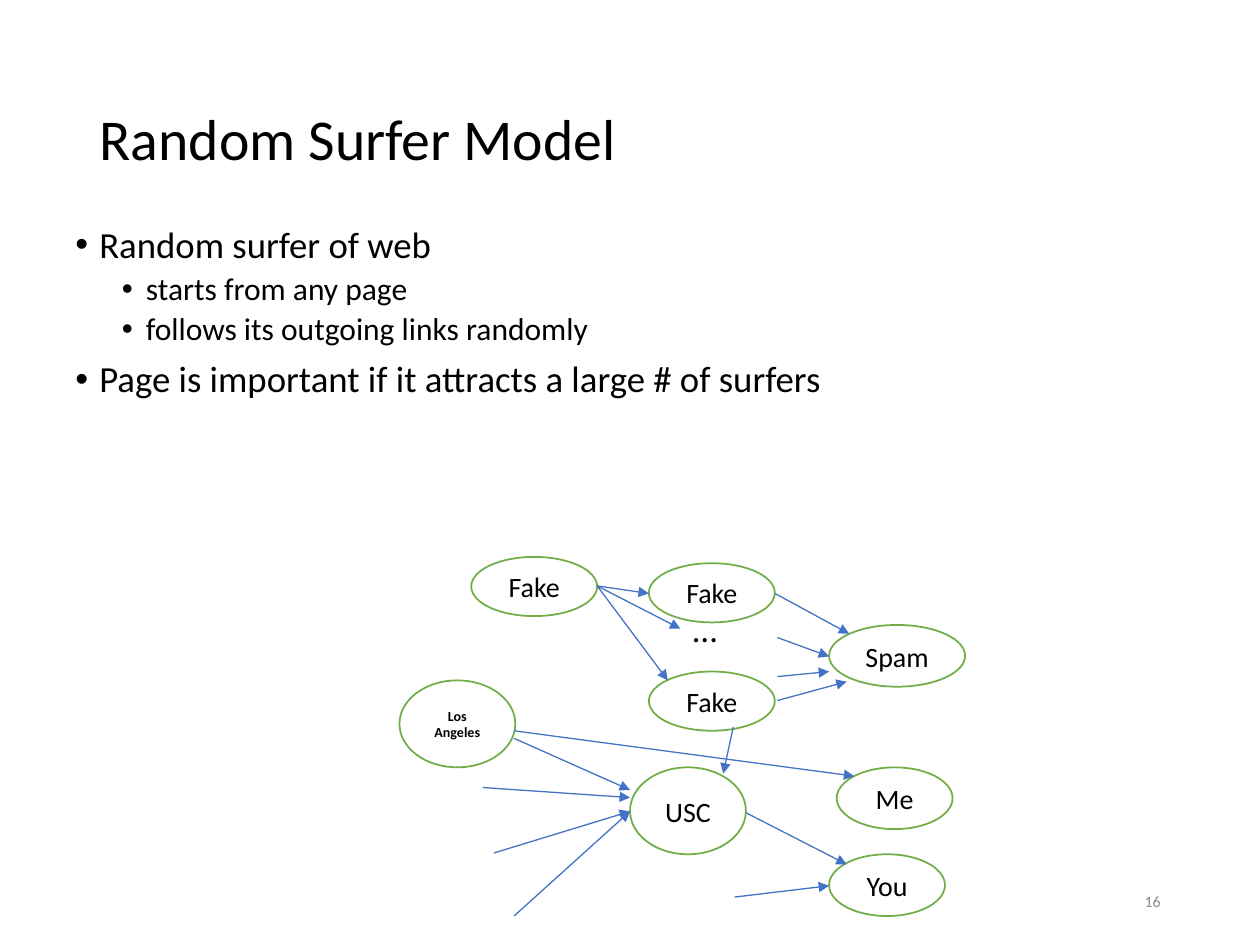
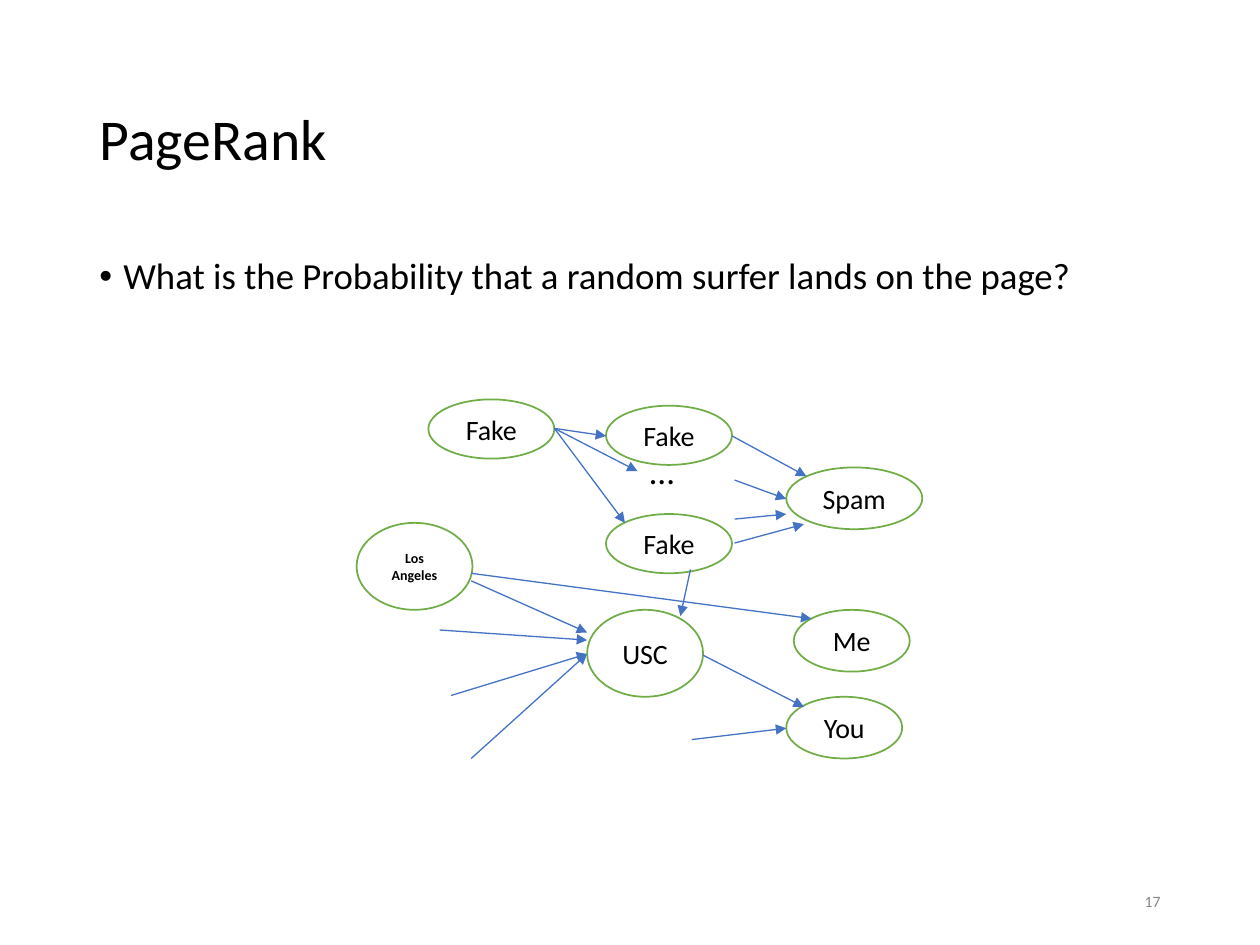
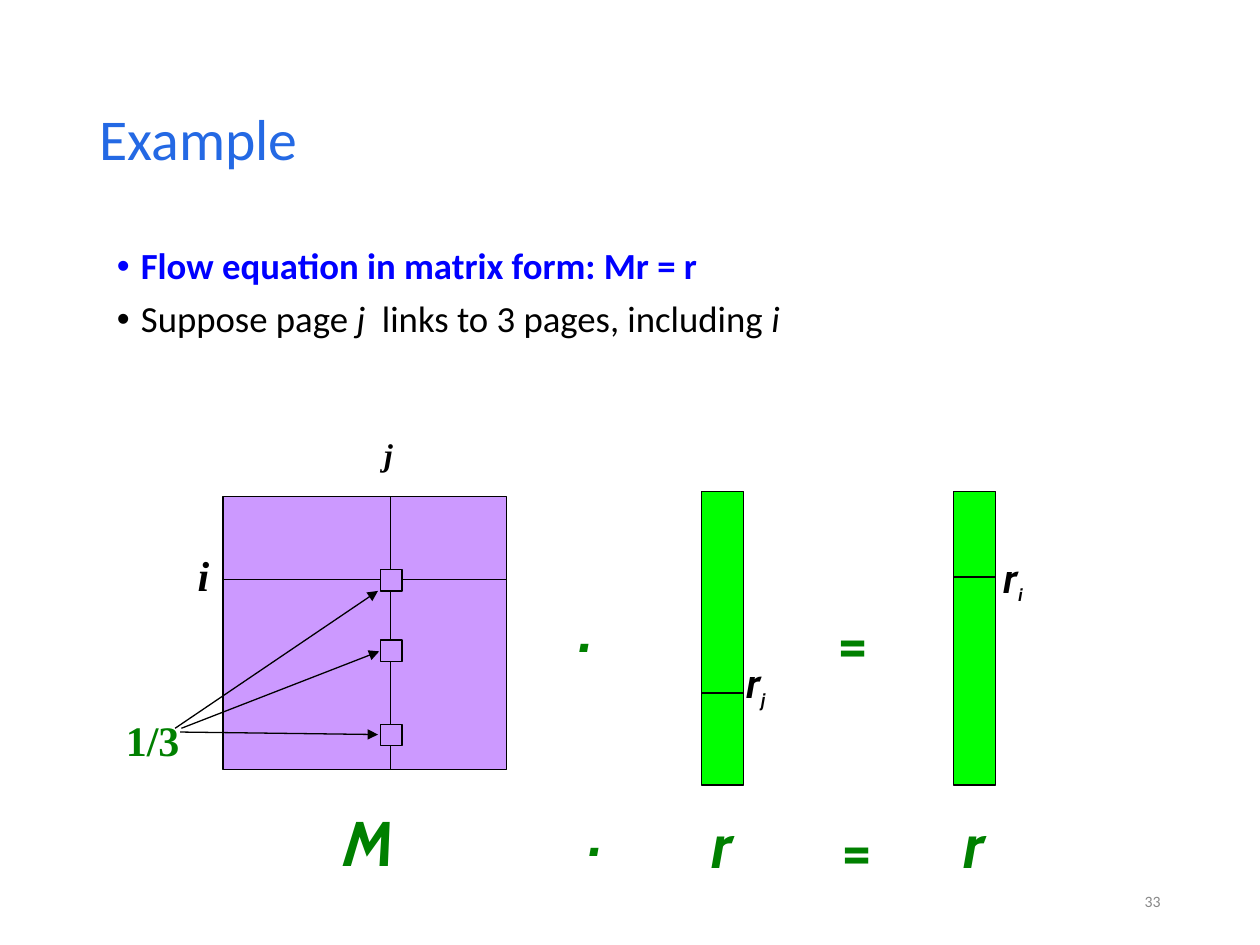
from dataclasses import dataclass

from lxml import etree
from pptx import Presentation
from pptx import util as u
from pptx.dml.color import RGBColor
from pptx.enum import shapes, text
from pptx.oxml import ns

PX = 9144
BLACK = RGBColor(0x00, 0x00, 0x00)
WHITE = RGBColor(0xFF, 0xFF, 0xFF)
GRAY = RGBColor(0x88, 0x88, 0x88)
TITLE_BLUE = RGBColor(0x24, 0x69, 0xE4)
STRONG_BLUE = RGBColor(0x00, 0x00, 0xFF)
LINK_BLUE = RGBColor(0x44, 0x72, 0xC4)
NODE_GREEN = RGBColor(0x70, 0xAD, 0x47)
SYMBOL_GREEN = RGBColor(0x00, 0x80, 0x00)
VECTOR_GREEN = RGBColor(0x00, 0xFF, 0x00)
MATRIX_PURPLE = RGBColor(0xCC, 0x99, 0xFF)
SANS, SERIF, SYMBOL = "Calibri", "Times New Roman", "Cabin"

TITLE_BOX = (69, 40, 862, 145)
NUMBER_BOX = (706, 695, 225, 40)
LEVELS = ((21, 19, 7.5), (18, 56, 3.8))

NODES = (
    ("You", 341, 236, 92, 49),
    ("USC", 183, 167, 92, 69),
    ("Los Angeles", 0, 98, 92, 69),
    ("Spam", 341, 54, 108, 49),
    ("Fake", 198, 5, 100, 47),
    ("Fake", 198, 91, 100, 47),
    ("Me", 347, 167, 92, 49),
    ("Fake", 57, 0, 100, 47),
)
LINKS = (
    (275, 203, 355, 244), (266, 270, 341, 261), (66, 183, 183, 191),
    (75, 235, 183, 202), (91, 285, 183, 202), (91, 144, 183, 185),
    (298, 29, 357, 61), (300, 64, 341, 79), (300, 114, 355, 99),
    (300, 95, 341, 91), (91, 138, 361, 174), (157, 23, 198, 29),
    (157, 23, 213, 98), (157, 23, 223, 57), (265, 135, 257, 172),
)


@dataclass
class Style:
    size: float
    color: RGBColor = BLACK
    font: str = SANS
    bold: bool = False
    italic: bool = False


@dataclass
class Bullet:
    runs: tuple
    level: int = 0
    color: RGBColor = BLACK
    bold: bool = False


def emu(*lengths):
    return [round(length * PX) for length in lengths]


def style_run(run, style):
    run.font.size = u.Pt(style.size)
    run.font.name = style.font
    run.font.bold = style.bold
    run.font.italic = style.italic
    run.font.color.rgb = style.color


def write(frame, words, style, align=text.PP_ALIGN.LEFT, anchor=text.MSO_ANCHOR.TOP):
    frame.text = words
    frame.word_wrap = True
    frame.vertical_anchor = anchor
    paragraph = frame.paragraphs[0]
    paragraph.alignment = align
    style_run(paragraph.runs[0], style)
    return paragraph


def label(parts, words, box, style, **placing):
    return write(parts.add_textbox(*emu(*box)).text_frame, words, style, **placing)


def outlined(parts, kind, box, fill, line, width=0.75):
    outline = parts.add_shape(kind, *emu(*box))
    outline.shadow.inherit = False
    outline.fill.solid()
    outline.fill.fore_color.rgb = fill
    outline.line.color.rgb = line
    outline.line.width = u.Pt(width)
    return outline


def stroke(parts, left, top, ends, color=BLACK, arrow=False):
    x1, y1, x2, y2 = ends
    line = parts.add_connector(
        shapes.MSO_CONNECTOR.STRAIGHT, *emu(left + x1, top + y1, left + x2, top + y2))
    line.line.color.rgb = color
    line.line.width = u.Pt(0.75)
    properties = line._element.spPr
    if arrow:
        tail = etree.SubElement(properties.find(ns.qn("a:ln")), ns.qn("a:tailEnd"))
        tail.set("type", "triangle")
    etree.SubElement(properties, ns.qn("a:effectLst"))


def titled_slide(deck, heading, number, color=BLACK):
    slide = deck.slides.add_slide(deck.slide_layouts[5])
    title = slide.shapes.title
    title.left, title.top, title.width, title.height = emu(*TITLE_BOX)
    title.text_frame.auto_size = text.MSO_AUTO_SIZE.NONE
    write(title.text_frame, heading, Style(33, color),
          anchor=text.MSO_ANCHOR.MIDDLE).line_spacing = 0.9
    label(slide.shapes, number, NUMBER_BOX, Style(9, GRAY),
          align=text.PP_ALIGN.RIGHT, anchor=text.MSO_ANCHOR.MIDDLE)
    return slide


def bullet_list(slide, box, bullets):
    frame = slide.shapes.add_textbox(*emu(*box)).text_frame
    frame.word_wrap = True
    for index, bullet in enumerate(bullets):
        paragraph = frame.add_paragraph() if index else frame.paragraphs[0]
        size, margin, gap = LEVELS[bullet.level]
        properties = paragraph._p.get_or_add_pPr()
        properties.set("marL", str(margin * PX))
        properties.set("indent", str(-19 * PX))
        tint = etree.SubElement(properties, ns.qn("a:buClr"))
        etree.SubElement(tint, ns.qn("a:srgbClr")).set("val", str(bullet.color))
        etree.SubElement(properties, ns.qn("a:buFont")).set("typeface", "Arial")
        etree.SubElement(properties, ns.qn("a:buChar")).set("char", "•")
        paragraph.level = bullet.level
        paragraph.line_spacing = 0.9
        paragraph.space_before = u.Pt(gap if index else 0)
        for position, words in enumerate(bullet.runs):
            run = paragraph.add_run()
            run.text = words
            style_run(run, Style(size, bullet.color, bold=bullet.bold, italic=position % 2 == 1))


def web_graph(slide, left, top):
    graph = slide.shapes.add_group_shape().shapes
    for name, x, y, width, height in NODES:
        page = outlined(graph, shapes.MSO_SHAPE.OVAL, (left + x, top + y, width, height),
                        WHITE, NODE_GREEN, 1)
        small = name == "Los Angeles"
        write(page.text_frame, name, Style(8 if small else 16, bold=small),
              text.PP_ALIGN.CENTER, text.MSO_ANCHOR.MIDDLE)
    label(graph, "…", (left + 223, top + 35, 43, 44), Style(20))
    for ends in LINKS:
        stroke(graph, left, top, ends, LINK_BLUE, arrow=True)


def symbol(slide, words, left, top, width, italic=True):
    label(slide.shapes, words, (left, top, width, 71),
          Style(36, SYMBOL_GREEN, SYMBOL, True, italic))


def link_matrix(slide, left, top, width, height):
    parts = slide.shapes
    row, column, cell = 66, 133, 17
    rectangle = shapes.MSO_SHAPE.RECTANGLE
    outlined(parts, rectangle, (left, top, width, height), MATRIX_PURPLE, BLACK)
    stroke(parts, left, top, (0, row, width, row))
    stroke(parts, left, top, (column, 0, column, height))
    label(parts, "i", (left - 30, top + 37, 41, 51), Style(24, BLACK, SERIF, True, True))
    label(parts, "j", (left + 118, top - 54, 38, 51), Style(18, BLACK, SERIF, True, True))
    label(parts, "1/3", (left - 87, top + 168, 70, 50), Style(24, SYMBOL_GREEN, SERIF, True))
    for y in (58, 114, 181):
        outlined(parts, rectangle, (left + 125, top + y, cell, cell), MATRIX_PURPLE, BLACK)
    for ends in ((-38, 184, 123, 75), (-33, 184, 124, 123), (-34, 187, 123, 189)):
        stroke(parts, left, top, ends, arrow=True)
    symbol(slide, "M", left + 86, top + 239, 61)


def rank_vector(slide, left, top, width, height, entry, mark, entry_x, entry_y):
    parts = slide.shapes
    outlined(parts, shapes.MSO_SHAPE.RECTANGLE, (left, top, width, height), VECTOR_GREEN, BLACK)
    stroke(parts, left, top, (0, mark, width, mark))
    rank = label(parts, "r", (left + entry_x, top + entry_y, 44, 51),
                 Style(24, BLACK, SYMBOL, True, True))
    subscript = rank.add_run()
    subscript.text = entry
    style_run(subscript, Style(18, BLACK, SYMBOL, True, True))
    subscript._r.get_or_add_rPr().set("baseline", "-25000")
    symbol(slide, "r", left - 2, top + 244, 38)


def surfer_slide(deck):
    slide = titled_slide(deck, "Random Surfer Model", "16")
    bullet_list(slide, (50, 175, 917, 495), (
        Bullet(("Random surfer of web",)),
        Bullet(("starts from any page",), 1),
        Bullet(("follows its outgoing links randomly",), 1),
        Bullet(("Page is important if it attracts a large # of surfers",)),
    ))
    web_graph(slide, 317, 442)


def pagerank_slide(deck):
    slide = titled_slide(deck, "PageRank", "17")
    bullet_list(slide, (69, 200, 862, 476), (
        Bullet(("What is the Probability that a random surfer lands on the page?",)),
    ))
    web_graph(slide, 283, 317)


def example_slide(deck):
    slide = titled_slide(deck, "Example", "33", TITLE_BLUE)
    bullet_list(slide, (83, 192, 850, 508), (
        Bullet(("Flow equation in matrix form: Mr = r",), color=STRONG_BLUE, bold=True),
        Bullet(("Suppose page ", "j ", " links to 3 pages, including ", "i")),
    ))
    link_matrix(slide, 177, 394, 225, 217)
    rank_vector(slide, 557, 390, 33, 233, "j", 160, 26, 126)
    rank_vector(slide, 757, 390, 33, 233, "i", 68, 30, 43)
    for left, top in ((450, 463), (458, 625)):
        symbol(slide, ".", left, top, 35)
    for left, top in ((655, 474), (658, 638)):
        symbol(slide, "=", left, top, 47, italic=False)


def main():
    deck = Presentation()
    deck.slide_width, deck.slide_height = emu(1000, 750)
    surfer_slide(deck)
    pagerank_slide(deck)
    example_slide(deck)
    deck.save("out.pptx")


if __name__ == "__main__":
    main()
